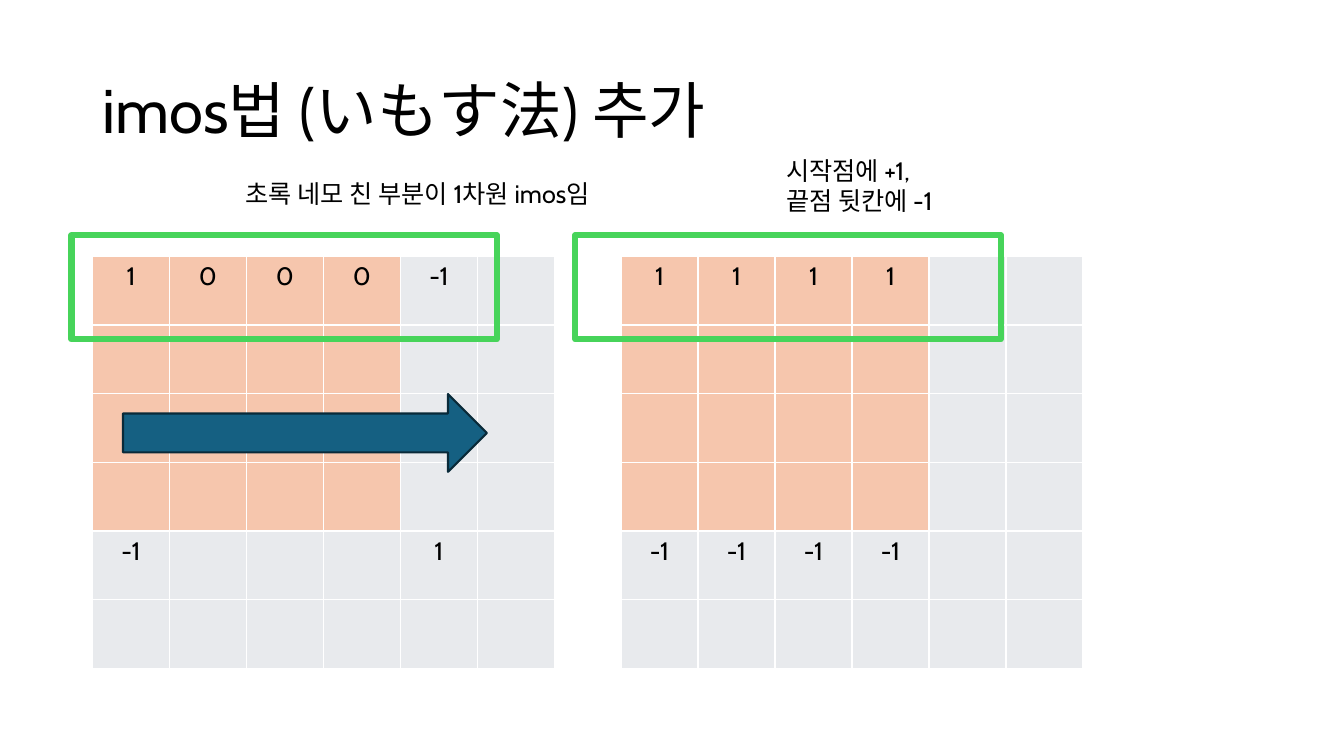
import pptx
import pptx.dml.color
import pptx.enum.shapes
import pptx.enum.text
import pptx.oxml
import pptx.oxml.ns
import pptx.util
from pptx.util import Cm

COLORS = {
    "text": "000000", "covered": "F6C6AD", "empty": "E8EAED", "border": "FFFFFF",
    "arrow": "156082", "arrow_edge": "092A39", "highlight": "47D45A",
}
GRID_SIZE = 6
COVERED_SIZE = 4
CELL_WIDTH, CELL_HEIGHT = 1.94, 1.73
GRID_TOP = 6.46


def rgb(name):
    return pptx.dml.color.RGBColor.from_string(COLORS[name])


def format_text(frame, text, size=18, align=None, spacing=None):
    for index, line in enumerate(text.split("\n")):
        para = frame.paragraphs[0] if index == 0 else frame.add_paragraph()
        para.alignment = align
        para.line_spacing = spacing
        span = para.add_run()
        span.text = line
        span.font.name = "Cabin"
        span.font.size = pptx.util.Pt(size)
        span.font.color.rgb = rgb("text")


class SlideBuilder:
    def __init__(self, deck):
        self.page = deck.slides.add_slide(deck.slide_layouts[6])

    def add_text(self, text, left, top, width, height, wrap=False, middle=False, **style):
        box = self.page.shapes.add_textbox(Cm(left), Cm(top), Cm(width), Cm(height))
        frame = box.text_frame
        frame.word_wrap = wrap
        if not wrap:
            frame.auto_size = pptx.enum.text.MSO_AUTO_SIZE.SHAPE_TO_FIT_TEXT
        if middle:
            frame.vertical_anchor = pptx.enum.text.MSO_ANCHOR.MIDDLE
        format_text(frame, text, **style)

    def add_shape(self, kind, left, top, width, height, line, line_width, fill=None):
        shape = self.page.shapes.add_shape(kind, Cm(left), Cm(top), Cm(width), Cm(height))
        shape.shadow.inherit = False
        if fill:
            shape.fill.solid()
            shape.fill.fore_color.rgb = rgb(fill)
        else:
            shape.fill.background()
        shape.line.color.rgb = rgb(line)
        shape.line.width = pptx.util.Pt(line_width)

    def add_border(self, cell):
        properties = cell._tc.get_or_add_tcPr()
        for position, side in enumerate(("lnL", "lnR", "lnT", "lnB")):
            properties.insert(position, pptx.oxml.parse_xml(
                f'<a:{side} {pptx.oxml.ns.nsdecls("a")} w="12700"><a:solidFill>'
                f'<a:srgbClr val="{COLORS["border"]}"/></a:solidFill></a:{side}>'))

    def add_grid(self, left, values):
        """Draw a square grid; values maps (row, column) to a number."""
        table = self.page.shapes.add_table(
            GRID_SIZE, GRID_SIZE, Cm(left), Cm(GRID_TOP),
            Cm(CELL_WIDTH * GRID_SIZE), Cm(CELL_HEIGHT * GRID_SIZE)).table
        table.first_row = False
        table.horz_banding = False
        for column in table.columns:
            column.width = Cm(CELL_WIDTH)
        for row_index, row in enumerate(table.rows):
            row.height = Cm(CELL_HEIGHT)
            for column_index, cell in enumerate(row.cells):
                covered = max(row_index, column_index) < COVERED_SIZE
                cell.fill.solid()
                cell.fill.fore_color.rgb = rgb("covered" if covered else "empty")
                self.add_border(cell)
                if (row_index, column_index) in values:
                    format_text(cell.text_frame, str(values[row_index, column_index]),
                                align=pptx.enum.text.PP_ALIGN.CENTER)


def main():
    deck = pptx.Presentation()
    deck.slide_width, deck.slide_height = Cm(33.87), Cm(19.05)
    slide = SlideBuilder(deck)
    shapes = pptx.enum.shapes.MSO_SHAPE

    # Title
    slide.add_text("imos법 (いもす法) 추가", 2.33, 1.02, 29.21, 3.68,
                   wrap=True, middle=True, size=44, spacing=0.9)

    # Difference marks, swept to the right
    corners = {(0, 0): 1, (0, 4): -1, (4, 0): -1, (4, 4): 1}
    zeros = {(0, column): 0 for column in range(1, COVERED_SIZE)}
    slide.add_grid(2.33, corners | zeros)
    slide.add_shape(shapes.RIGHT_ARROW, 3.1, 9.93, 9.17, 1.96,
                    line="arrow_edge", line_width=1.5, fill="arrow")

    # Result of the row sums
    sums = {(row, column): value for row, value in ((0, 1), (4, -1))
            for column in range(COVERED_SIZE)}
    slide.add_grid(15.65, sums)

    # Green frames around the first rows
    for left in (14.5, 1.8):
        slide.add_shape(shapes.RECTANGLE, left, 5.93, 10.72, 2.62,
                        line="highlight", line_width=4.5)

    # Captions
    slide.add_text("초록 네모 친 부분이 1차원 imos임", 5.94, 4.37, 10.06, 1.02)
    slide.add_text("시작점에 +1,\n끝점 뒷칸에 -1", 19.56, 3.78, 4.5, 1.8)

    deck.save("out.pptx")


if __name__ == "__main__":
    main()
